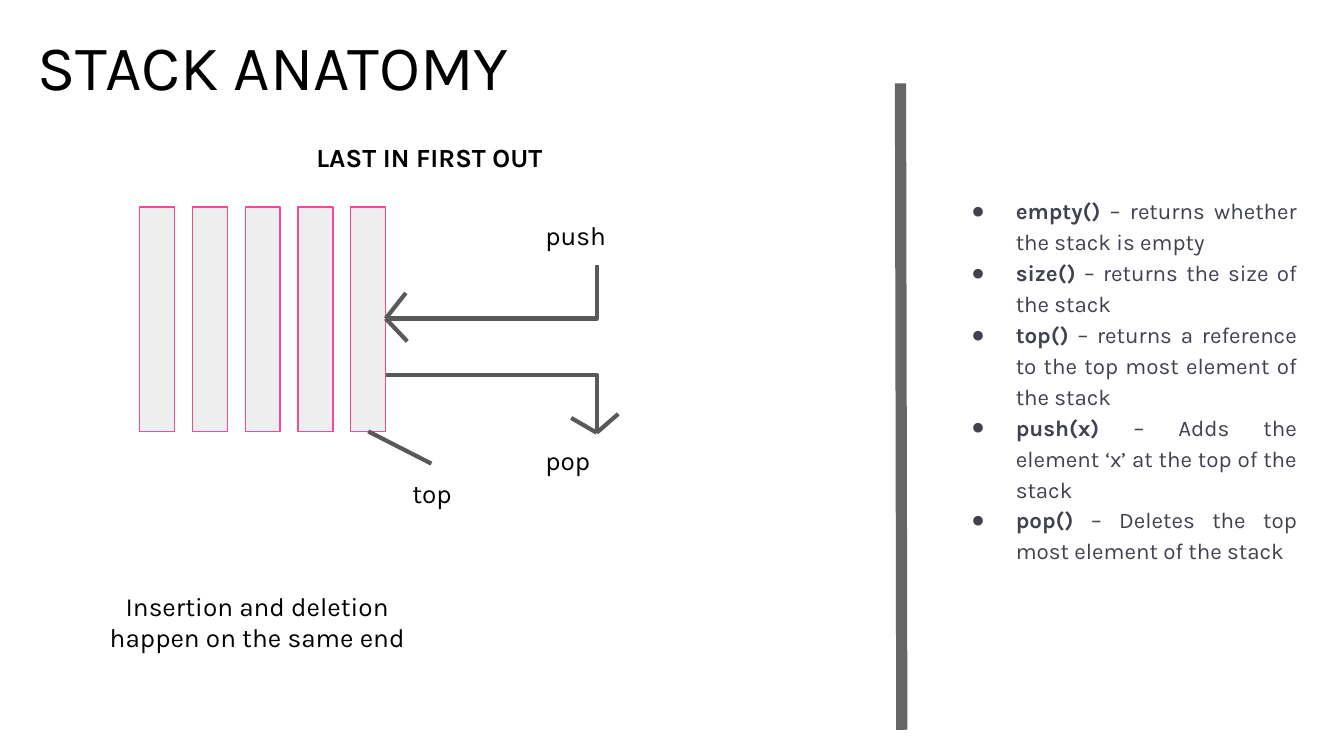
from dataclasses import dataclass

from lxml import etree
from pptx import Presentation
from pptx.dml.color import RGBColor
from pptx.enum import shapes, text
from pptx.oxml import ns
from pptx.util import Inches, Pt

ALIGN = text.PP_ALIGN


@dataclass(frozen=True)
class Theme:
    """Colours, fonts and type sizes of the deck."""
    font: str = "Karla"
    bullet_font: str = "Arial"
    ink: str = "000000"
    body: str = "40424E"
    bar: str = "EEEEEE"
    edge: str = "F54996"
    arrow: str = "595959"
    divider: str = "666666"
    title_size: int = 34
    label_size: int = 14
    body_size: int = 12


class StackSlide:
    """Draws styled elements on one title-only slide."""

    def __init__(self, prs, theme):
        self.theme = theme
        self.s = prs.slides.add_slide(prs.slide_layouts[5])

    def run(self, p, words, size, color, bold=False):
        r = p.add_run()
        r.text = words
        r.font.name = self.theme.font
        r.font.size = Pt(size)
        r.font.bold = bold
        r.font.color.rgb = RGBColor.from_string(color)

    def title(self, words, x, y, w, h):
        sp = self.s.shapes.title
        sp.left, sp.top, sp.width, sp.height = map(Inches, (x, y, w, h))
        tf = sp.text_frame
        tf.margin_left = tf.margin_right = tf.margin_top = tf.margin_bottom = 0
        tf.vertical_anchor = text.MSO_ANCHOR.TOP
        tf.auto_size = text.MSO_AUTO_SIZE.NONE
        p = tf.paragraphs[0]
        p.alignment = ALIGN.LEFT
        p.line_spacing = 0.65
        self.run(p, words, self.theme.title_size, self.theme.ink)

    def box(self, x, y, w, h):
        sp = self.s.shapes.add_textbox(*map(Inches, (x, y, w, h)))
        tf = sp.text_frame
        tf.word_wrap = True
        tf.auto_size = text.MSO_AUTO_SIZE.SHAPE_TO_FIT_TEXT
        tf.margin_left = tf.margin_right = Inches(0.1)
        tf.margin_top = tf.margin_bottom = Inches(0.1)
        return sp

    def label(self, words, x, y, w, h=0.44, align=ALIGN.LEFT, bold=False):
        sp = self.box(x, y, w, h)
        p = sp.text_frame.paragraphs[0]
        p.alignment = align
        self.run(p, words, self.theme.label_size, self.theme.ink, bold)
        return sp

    def bullets(self, items, x, y, w, h):
        t = self.theme
        tf = self.box(x, y, w, h).text_frame
        for i, (name, meaning) in enumerate(items):
            p = tf.add_paragraph() if i else tf.paragraphs[0]
            p.alignment = ALIGN.JUSTIFY
            p.line_spacing = 1.15
            pPr = p._p.get_or_add_pPr()
            pPr.set("marL", str(Inches(0.75)))
            pPr.set("indent", str(Inches(-0.33)))
            clr = etree.SubElement(pPr, ns.qn("a:buClr"))
            etree.SubElement(clr, ns.qn("a:srgbClr"), val=t.body)
            etree.SubElement(pPr, ns.qn("a:buFont"), typeface=t.bullet_font)
            etree.SubElement(pPr, ns.qn("a:buChar"), char="●")
            self.run(p, name, t.body_size, t.body, True)
            self.run(p, " – " + meaning, t.body_size, t.body)

    def bar(self, x, y, w, h):
        sp = self.s.shapes.add_shape(shapes.MSO_SHAPE.RECTANGLE,
                                     *map(Inches, (x, y, w, h)))
        sp.shadow.inherit = False
        sp.fill.solid()
        sp.fill.fore_color.rgb = RGBColor.from_string(self.theme.bar)
        sp.line.color.rgb = RGBColor.from_string(self.theme.edge)
        sp.line.width = Pt(0.75)
        return sp

    def line(self, start, end, color=None, width=2.25, bent=False):
        kind = shapes.MSO_CONNECTOR.ELBOW if bent else shapes.MSO_CONNECTOR.STRAIGHT
        sp = self.s.shapes.add_connector(kind, *map(Inches, (*start, *end)))
        sp.line.color.rgb = RGBColor.from_string(color or self.theme.arrow)
        sp.line.width = Pt(width)
        spPr = sp._element.spPr
        etree.SubElement(spPr, ns.qn("a:effectLst"))
        if bent:
            spPr.find(ns.qn("a:prstGeom")).set("prst", "bentConnector2")
        return sp

    def arrow(self, start, end, tip, barbs):
        self.line(start, end, bent=True)
        for dx, dy in barbs:
            self.line(tip, (tip[0] + dx, tip[1] + dy))


def main():
    prs = Presentation()
    prs.slide_width = Inches(10)
    prs.slide_height = prs.slide_width * 9 // 16
    theme = Theme()
    s = StackSlide(prs, theme)

    s.title("STACK ANATOMY", 0.28, 0.38, 8.08, 0.56)
    s.line((6.7, 0.62), (6.71, 5.43), theme.divider, 6)

    first, last, count = 1.04, 2.61, 5
    pitch = (last - first) / (count - 1)
    bars = [s.bar(first + i * pitch, 1.54, 0.26, 1.67) for i in range(count)]

    s.label("LAST IN FIRST OUT", 2.15, 0.95, 2.09, align=ALIGN.CENTER, bold=True)
    s.label("push", 3.96, 1.53, 0.96)
    s.label("pop", 3.96, 3.21, 0.96)
    top = s.label("top", 2.96, 3.45, 0.5, align=ALIGN.RIGHT)
    s.label("Insertion and deletion happen on the same end",
            0.62, 4.29, 2.59, 0.67, ALIGN.CENTER)

    push_tip, pop_tip = (2.87, 2.37), (4.44, 3.22)
    s.arrow(push_tip, (4.44, 1.97), push_tip, [(0.15, -0.19), (0.16, 0.17)])
    s.arrow((2.87, 2.79), pop_tip, pop_tip, [(0.16, -0.14), (-0.19, -0.11)])
    pointer = s.line((3.21, 3.45), (2.74, 3.21))
    pointer.begin_connect(top, 0)
    pointer.end_connect(bars[-1], 2)

    s.bullets([
        ("empty()", "returns whether the stack is empty"),
        ("size()", "returns the size of the stack"),
        ("top()", "returns a reference to the top most element of the stack"),
        ("push(x)", "Adds the element ‘x’ at the top of the stack"),
        ("pop()", "Deletes the top most element of the stack"),
    ], 6.71, 1.34, 3.04, 2.73)

    prs.save("out.pptx")


if __name__ == "__main__":
    main()
